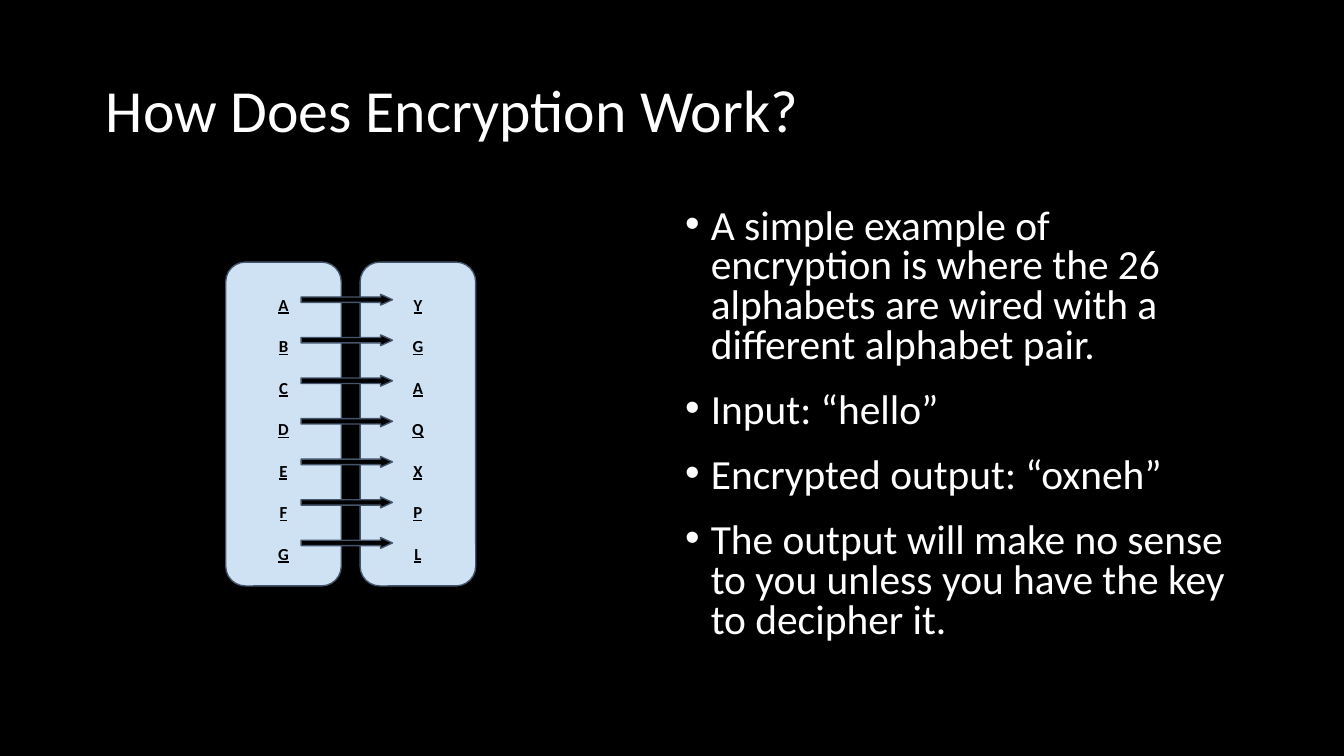
from pptx import Presentation
from pptx.dml.color import RGBColor
from pptx.enum.shapes import MSO_SHAPE
from pptx.enum.text import MSO_ANCHOR, PP_ALIGN
from pptx.oxml.ns import qn
from pptx.util import Inches, Pt
from lxml import etree

ROUND, ARROW = MSO_SHAPE.ROUNDED_RECTANGLE, MSO_SHAPE.RIGHT_ARROW
TOP, MIDDLE = MSO_ANCHOR.TOP, MSO_ANCHOR.MIDDLE
LEFT, CENTER = PP_ALIGN.LEFT, PP_ALIGN.CENTER

TITLE = "How Does Encryption Work?"
POINTS = [
    "A simple example of encryption is where the 26 alphabets are wired with a different alphabet pair.",
    "Input: “hello”",
    "Encrypted output: “oxneh”",
    "The output will make no sense to you unless you have the key to decipher it.",
]
PAIRS = [("A", "Y"), ("B", "G"), ("C", "A"), ("D", "Q"),
         ("E", "X"), ("F", "P"), ("G", "L")]

THEME = {
    "font": "Calibri",
    "black": RGBColor(0, 0, 0),
    "white": RGBColor(255, 255, 255),
    "panel": RGBColor(0xCF, 0xE2, 0xF3),
    "edge": RGBColor(0x44, 0x54, 0x6A),
    "title": 32, "body": 22.2, "key": 9,
}


def write(shape, lines, size, color, align=LEFT, anchor=TOP, pad=0.05,
          leading=1.0, before=0, after=0, bold=False, bullet=False):
    frame = shape.text_frame
    frame.word_wrap = True
    frame.vertical_anchor = anchor
    frame.margin_left = frame.margin_right = Inches(0.1)
    frame.margin_top = frame.margin_bottom = Inches(pad)
    for i, line in enumerate(lines):
        para = frame.paragraphs[0] if i == 0 else frame.add_paragraph()
        para.alignment = align
        para.line_spacing = leading
        para.space_before = Pt(before if i else 0)
        para.space_after = Pt(after)
        if bullet:
            props = para._p.get_or_add_pPr()
            props.set("marL", str(Inches(0.19)))
            props.set("indent", str(-Inches(0.19)))
            etree.SubElement(props, qn("a:buFont")).set("typeface", "Arial")
            etree.SubElement(props, qn("a:buChar")).set("char", "•")
        run = para.add_run()
        run.text = line
        font = run.font
        font.name, font.size = THEME["font"], Pt(size)
        font.color.rgb = color
        font.bold = font.underline = bold


def place(slide, kind, box, fill, adjust):
    shape = slide.shapes.add_shape(kind, *map(Inches, box))
    shape.shadow.inherit = False
    shape.fill.solid()
    shape.fill.fore_color.rgb = fill
    shape.line.color.rgb = THEME["edge"]
    shape.line.width = Pt(0.75)
    for i, value in enumerate(adjust):
        shape.adjustments[i] = value
    return shape


def main():
    deck = Presentation()
    deck.slide_width = Inches(10)
    deck.slide_height = deck.slide_width * 9 // 16
    slide = deck.slides.add_slide(deck.slide_layouts[6])
    slide.background.fill.solid()
    slide.background.fill.fore_color.rgb = THEME["black"]

    title = slide.shapes.add_textbox(*map(Inches, (0.69, 0.3, 8.62, 1.09)))
    write(title, [TITLE], THEME["title"], THEME["white"],
          anchor=MIDDLE, leading=0.9)
    body = slide.shapes.add_textbox(*map(Inches, (5, 1.5, 4.31, 3.57)))
    write(body, POINTS, THEME["body"], THEME["white"],
          leading=0.8, before=7.5, after=6, bullet=True)

    for i, keys in enumerate(zip(*PAIRS)):
        panel = place(slide, ROUND, (1.68 + i, 1.95, 0.86, 2.41),
                      THEME["panel"], [0.17])
        write(panel, keys, THEME["key"], THEME["black"], align=CENTER,
              anchor=MIDDLE, pad=0.1, leading=1.5, after=6, bold=True)

    first, last = 2.19, 4.0
    step = (last - first) / (len(PAIRS) - 1)
    for i in range(len(PAIRS)):
        place(slide, ARROW, (2.24, first + i * step, 0.68, 0.08),
              THEME["black"], [0.5, 1.1])

    deck.save("out.pptx")


if __name__ == "__main__":
    main()
